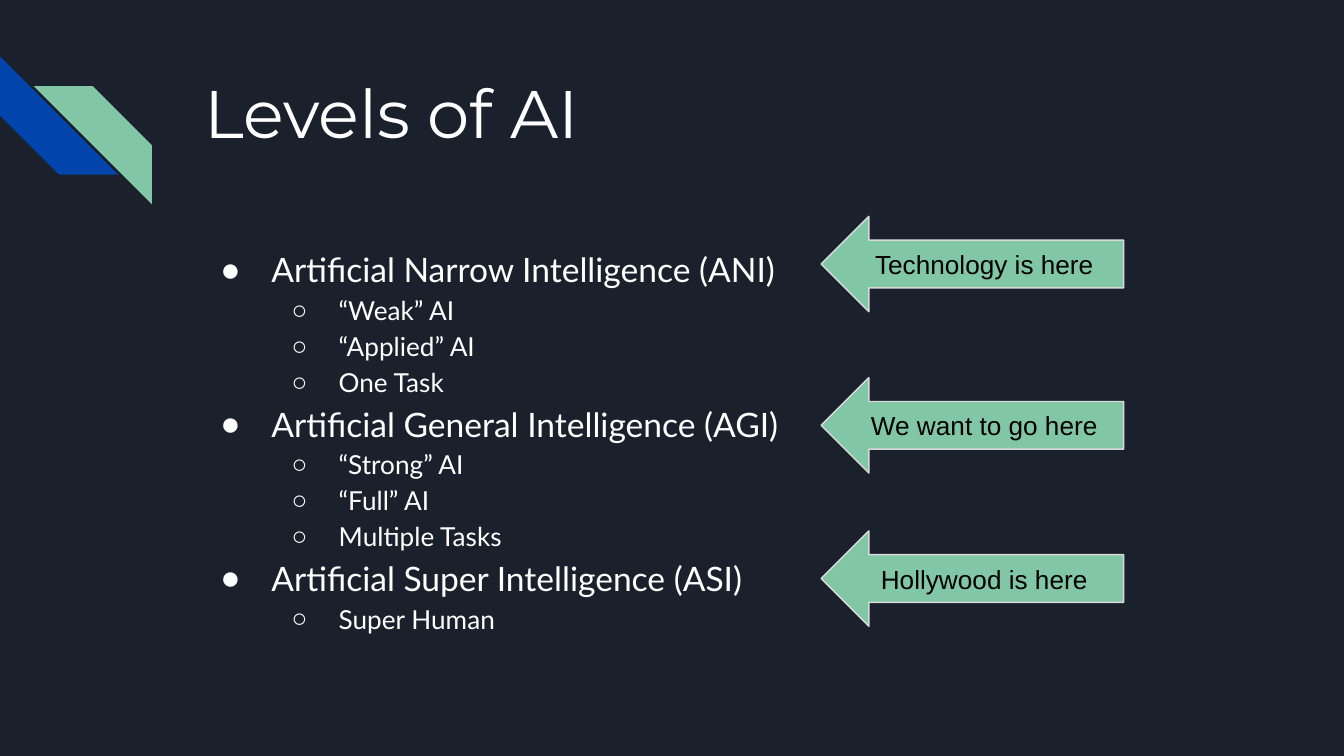
"""Build the slide on the levels of AI."""
from dataclasses import dataclass

from lxml import etree
from pptx import Presentation
from pptx.dml.color import RGBColor
from pptx.enum import shapes, text
from pptx.oxml import ns
from pptx.util import Inches, Pt


@dataclass(frozen=True)
class Theme:
    back: str = "1B212C"
    blue: str = "0145AC"
    green: str = "82C7A5"
    edge: str = "D9D9D9"
    white: str = "FFFFFF"
    black: str = "000000"
    title: int = 36
    head: int = 18
    small: int = 14


@dataclass(frozen=True)
class Level:
    name: str
    notes: tuple[str, ...]
    label: str
    top: float


@dataclass(frozen=True)
class Stripe:
    left: float
    top: float
    fill: str
    turn: int = 0
    flip: bool = False


@dataclass(frozen=True)
class Bullet:
    mark: str
    left: float
    hang: float
    size: int


THEME = Theme()
BULLETS = (
    Bullet("●", 0.5, -0.38, THEME.head),
    Bullet("○", 1, -0.35, THEME.small),
)
LEVELS = (
    Level("Artificial Narrow Intelligence (ANI)",
          ("“Weak” AI", "“Applied” AI", "One Task"), "Technology is here", 1.61),
    Level("Artificial General Intelligence (AGI)",
          ("“Strong” AI", "“Full” AI", "Multiple Tasks"), "We want to go here", 2.81),
    Level("Artificial Super Intelligence (ASI)",
          ("Super Human",), "Hollywood is here", 3.95),
)
STRIPES = (
    Stripe(0, 0.42, THEME.blue, turn=270),
    Stripe(0.25, 0.64, THEME.green, flip=True),
)


def rgb(code: str) -> RGBColor:
    return RGBColor.from_string(code)


def style(font, face: str, size: int, color: str) -> None:
    font.name, font.size = face, Pt(size)
    font.color.rgb = rgb(color)


def set_frame(frame, anchor) -> None:
    frame.word_wrap = True
    frame.auto_size = text.MSO_AUTO_SIZE.NONE
    frame.vertical_anchor = anchor
    frame.margin_left = frame.margin_right = Inches(0.1)
    frame.margin_top = frame.margin_bottom = Inches(0.1)


def place(shape, left: float, top: float, width: float, height: float) -> None:
    shape.left, shape.top = Inches(left), Inches(top)
    shape.width, shape.height = Inches(width), Inches(height)
    set_frame(shape.text_frame, text.MSO_ANCHOR.TOP)


def add_bullet(para, bullet: Bullet) -> None:
    props = para._p.get_or_add_pPr()
    props.set("marL", str(Inches(bullet.left)))
    props.set("indent", str(Inches(bullet.hang)))
    tint = etree.SubElement(props, ns.qn("a:buClr"))
    etree.SubElement(tint, ns.qn("a:srgbClr"), val=THEME.white)
    etree.SubElement(props, ns.qn("a:buFont"), typeface="Arial")
    etree.SubElement(props, ns.qn("a:buChar"), char=bullet.mark)


def draw_title(shape) -> None:
    place(shape, 1.42, 0.43, 7.7, 1)
    para = shape.text_frame.paragraphs[0]
    para.text = "Levels of AI"
    para.alignment = text.PP_ALIGN.LEFT
    style(para.runs[0].font, "Montserrat", THEME.title, THEME.white)


def draw_list(shape) -> None:
    place(shape, 1.42, 1.71, 7.7, 3.18)
    frame = shape.text_frame
    rows = [(line, depth) for level in LEVELS
            for line, depth in [(level.name, 0), *((note, 1) for note in level.notes)]]
    frame.text = "\n".join(line for line, _ in rows)
    for para, (_, depth) in zip(frame.paragraphs, rows):
        bullet = BULLETS[depth]
        para.level = depth
        add_bullet(para, bullet)
        para.line_spacing = 1.15
        para.space_before = para.space_after = Pt(0)
        style(para.runs[0].font, "Lato", bullet.size, THEME.white)


def draw_stripe(group, stripe: Stripe) -> None:
    shape = group.shapes.add_shape(
        shapes.MSO_SHAPE.DIAGONAL_STRIPE, Inches(stripe.left), Inches(stripe.top),
        Inches(0.88), Inches(0.88))
    shape.shadow.inherit = False
    shape.fill.solid()
    shape.fill.fore_color.rgb = rgb(stripe.fill)
    shape.line.fill.background()
    shape.rotation = stripe.turn
    if stripe.flip:
        shape._element.spPr.get_or_add_xfrm().set("flipH", "1")


def draw_arrow(slide, level: Level) -> None:
    shape = slide.shapes.add_shape(
        shapes.MSO_SHAPE.LEFT_ARROW, Inches(6.11), Inches(level.top),
        Inches(2.25), Inches(0.71))
    shape.shadow.inherit = False
    shape.fill.solid()
    shape.fill.fore_color.rgb = rgb(THEME.green)
    shape.line.color.rgb = rgb(THEME.edge)
    shape.line.width = Pt(0.75)
    set_frame(shape.text_frame, text.MSO_ANCHOR.MIDDLE)
    para = shape.text_frame.paragraphs[0]
    para.text = level.label
    para.alignment = text.PP_ALIGN.CENTER
    style(para.runs[0].font, "Arial", THEME.small, THEME.black)


def main() -> None:
    deck = Presentation()
    deck.slide_width, deck.slide_height = Inches(10), Inches(10 * 9 / 16)
    slide = deck.slides.add_slide(deck.slide_layouts[1])
    slide.background.fill.solid()
    slide.background.fill.fore_color.rgb = rgb(THEME.back)
    draw_title(slide.shapes.title)
    draw_list(slide.placeholders[1])
    group = slide.shapes.add_group_shape()
    for stripe in STRIPES:
        draw_stripe(group, stripe)
    for level in LEVELS:
        draw_arrow(slide, level)
    deck.save("out.pptx")


if __name__ == "__main__":
    main()
